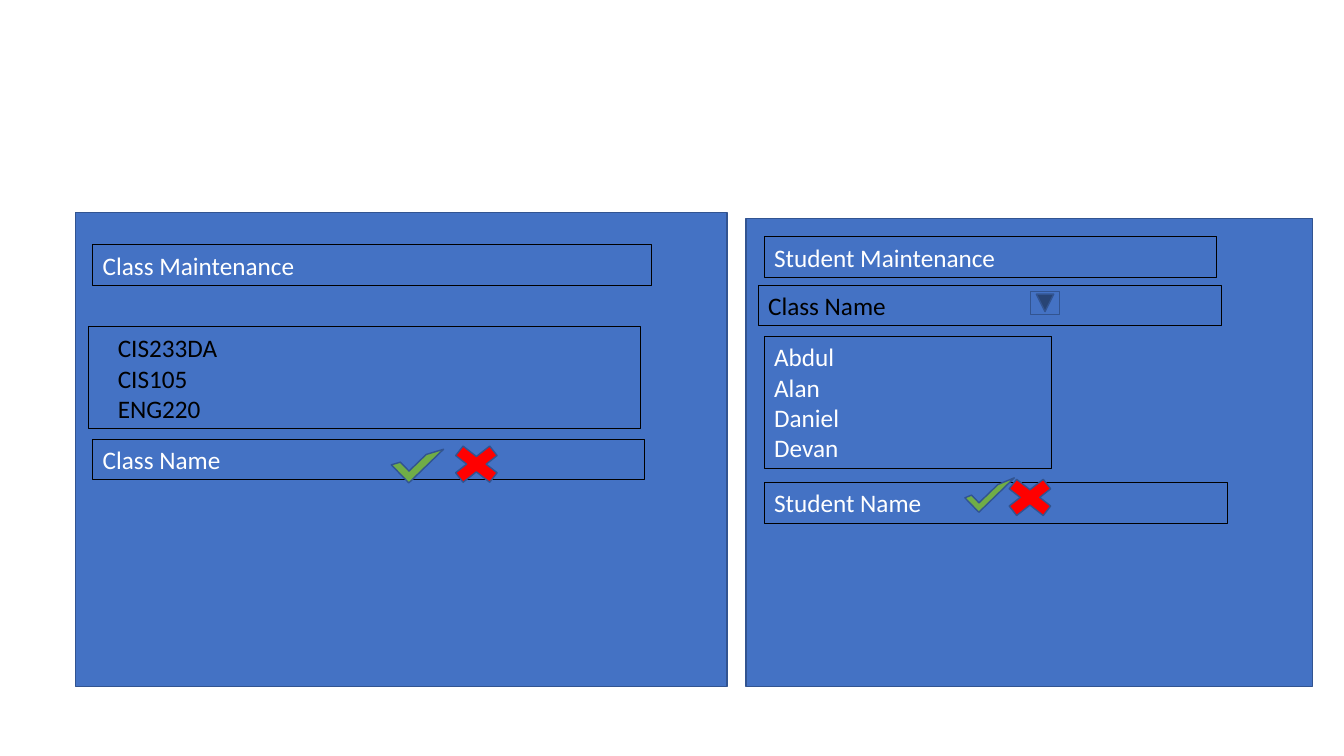
from dataclasses import dataclass

from pptx import Presentation
from pptx.dml.color import RGBColor
from pptx.enum.shapes import MSO_SHAPE
from pptx.enum.text import MSO_ANCHOR, MSO_AUTO_SIZE, PP_ALIGN
from pptx.shapes.autoshape import Shape
from pptx.util import Inches, Pt

RECT = MSO_SHAPE.RECTANGLE
CROSS = MSO_SHAPE.MATH_MULTIPLY
CHECK = MSO_SHAPE.HALF_FRAME
ARROW = MSO_SHAPE.ACTION_BUTTON_FORWARD_OR_NEXT
TOP = MSO_ANCHOR.TOP
LEFT = PP_ALIGN.LEFT
GROW = MSO_AUTO_SIZE.SHAPE_TO_FIT_TEXT

BLUE, EDGE = "4472C4", "325491"
GREEN, RED = "70AD47", "FF0000"
WHITE, BLACK = "FFFFFF", "000000"
ROW = 0.4


@dataclass
class Box:
    """A place on the slide, in inches."""
    left: float
    top: float
    width: float
    height: float = ROW


@dataclass
class Field:
    """An outlined box with lines of text."""
    box: Box
    lines: tuple[str, ...] = ()
    color: str = WHITE


@dataclass
class Panel:
    """A blue form with its fields and its pair of buttons."""
    box: Box
    fields: tuple[Field, ...]
    check: Box
    cross: Box


PANELS = (
    Panel(
        Box(0.75, 2.11, 6.46, 4.7),
        (
            Field(Box(0.92, 2.43, 5.54), ("Class Maintenance",)),
            Field(Box(0.88, 3.24, 5.47, 1.01)),
            Field(Box(0.92, 4.36, 5.47), ("Class Name",)),
        ),
        Box(3.9, 4.41, 0.48, 0.25),
        Box(4.4, 4.35, 0.65, 0.51),
    ),
    Panel(
        Box(7.4, 2.17, 5.62, 4.64),
        (
            Field(Box(7.58, 2.35, 4.49), ("Student Maintenance",)),
            Field(Box(7.52, 2.83, 4.6), ("Class Name",), BLACK),
            Field(Box(7.58, 3.34, 2.85, 1.31),
                  ("Abdul", "Alan", "Daniel", "Devan")),
            Field(Box(7.58, 4.79, 4.6), ("Student Name",)),
        ),
        Box(9.57, 4.74, 0.49, 0.2),
        Box(9.89, 4.68, 0.65, 0.51),
    ),
)
CODES = Field(Box(1.07, 3.25, 5.29, 1.01),
              ("CIS233DA", "CIS105", "ENG220"), BLACK)
PICKER = Box(10.25, 2.86, 0.23, 0.29)


def paint(code: str) -> RGBColor:
    """Turn a hex string into a colour."""
    return RGBColor.from_string(code)


def place(box: Box) -> tuple[Inches, ...]:
    """Give the box as slide lengths."""
    return tuple(Inches(n) for n in (box.left, box.top, box.width, box.height))


def write(shape: Shape, lines: tuple[str, ...], *, color: str = WHITE,
          size: int = 18, font: str = "Calibri") -> None:
    """Put one paragraph per line into the shape."""
    frame = shape.text_frame
    frame.word_wrap = True
    frame.auto_size = GROW
    frame.vertical_anchor = TOP
    frame.text = "\n".join(lines)
    for para in frame.paragraphs:
        para.alignment = LEFT
        para.font.size = Pt(size)
        para.font.name = font
        para.font.color.rgb = paint(color)


def draw(box: Box, kind: MSO_SHAPE = RECT, *, fill: str = "",
         line: str = EDGE, width: float = 1, turn: float = 0,
         flip: bool = False) -> Shape:
    """Add a preset shape, hollow when no fill is given."""
    shape = slide.shapes.add_shape(kind, *place(box))
    shape.shadow.inherit = False
    if fill:
        shape.fill.solid()
        shape.fill.fore_color.rgb = paint(fill)
    else:
        shape.fill.background()
    shape.line.color.rgb = paint(line)
    shape.line.width = Pt(width)
    shape.rotation = turn
    if flip:
        shape._element.spPr.get_or_add_xfrm().set("flipV", "1")
    return shape


def add_field(field: Field) -> None:
    """Draw a field and its text."""
    shape = draw(field.box, line=BLACK, width=0.75)
    if field.lines:
        write(shape, field.lines, color=field.color)


def add_panel(panel: Panel) -> None:
    """Draw a form, its fields, then its check and cross."""
    draw(panel.box, fill=BLUE)
    for field in panel.fields:
        add_field(field)
    draw(panel.check, CHECK, fill=GREEN, turn=315.9, flip=True)
    draw(panel.cross, CROSS, fill=RED)


deck = Presentation()
deck.slide_width, deck.slide_height = Inches(13.33), Inches(7.5)
slide = deck.slides.add_slide(deck.slide_layouts[6])

for panel in PANELS:
    add_panel(panel)
write(slide.shapes.add_textbox(*place(CODES.box)), CODES.lines,
      color=CODES.color)
draw(PICKER, ARROW, fill=BLUE, turn=90)

deck.save("out.pptx")
